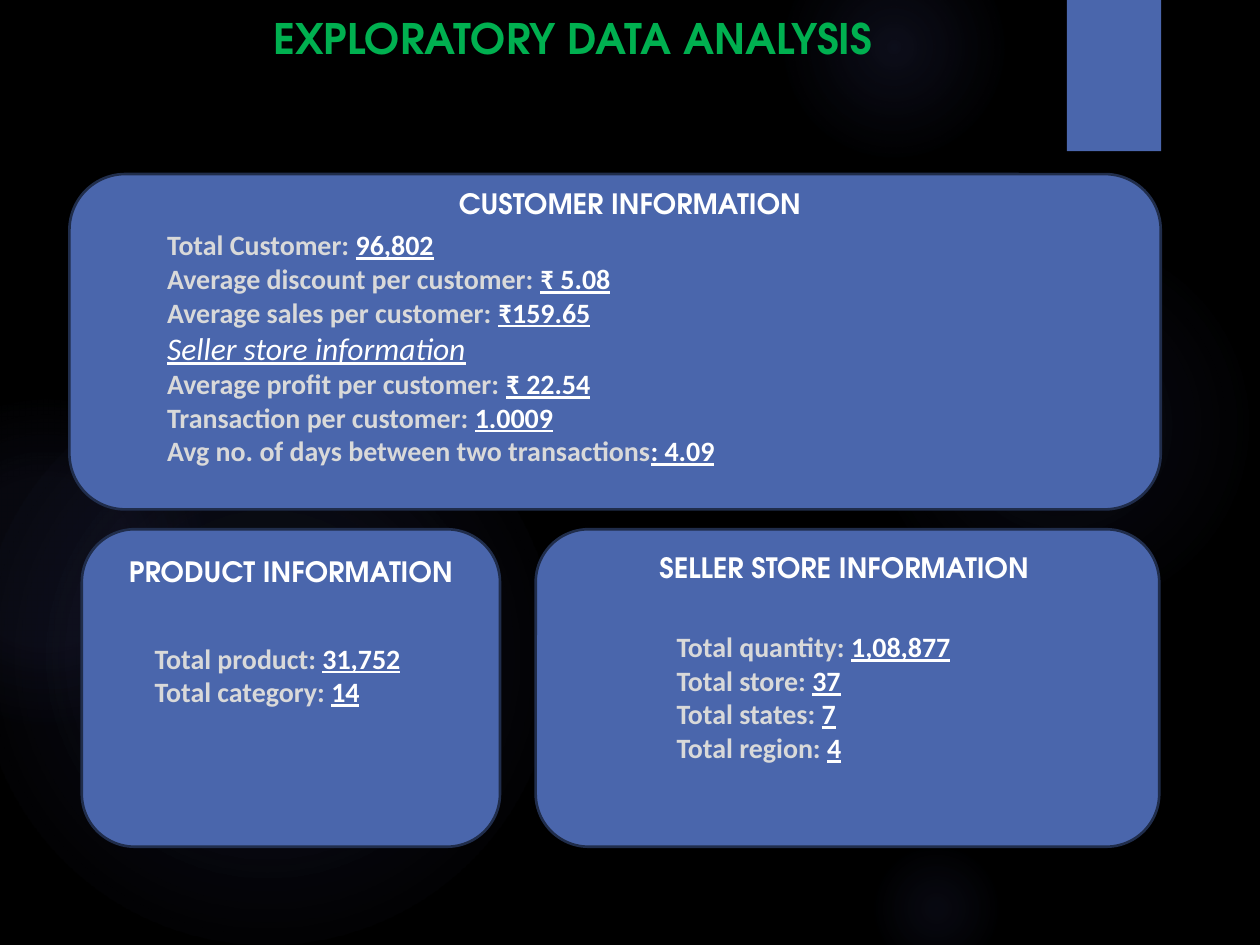
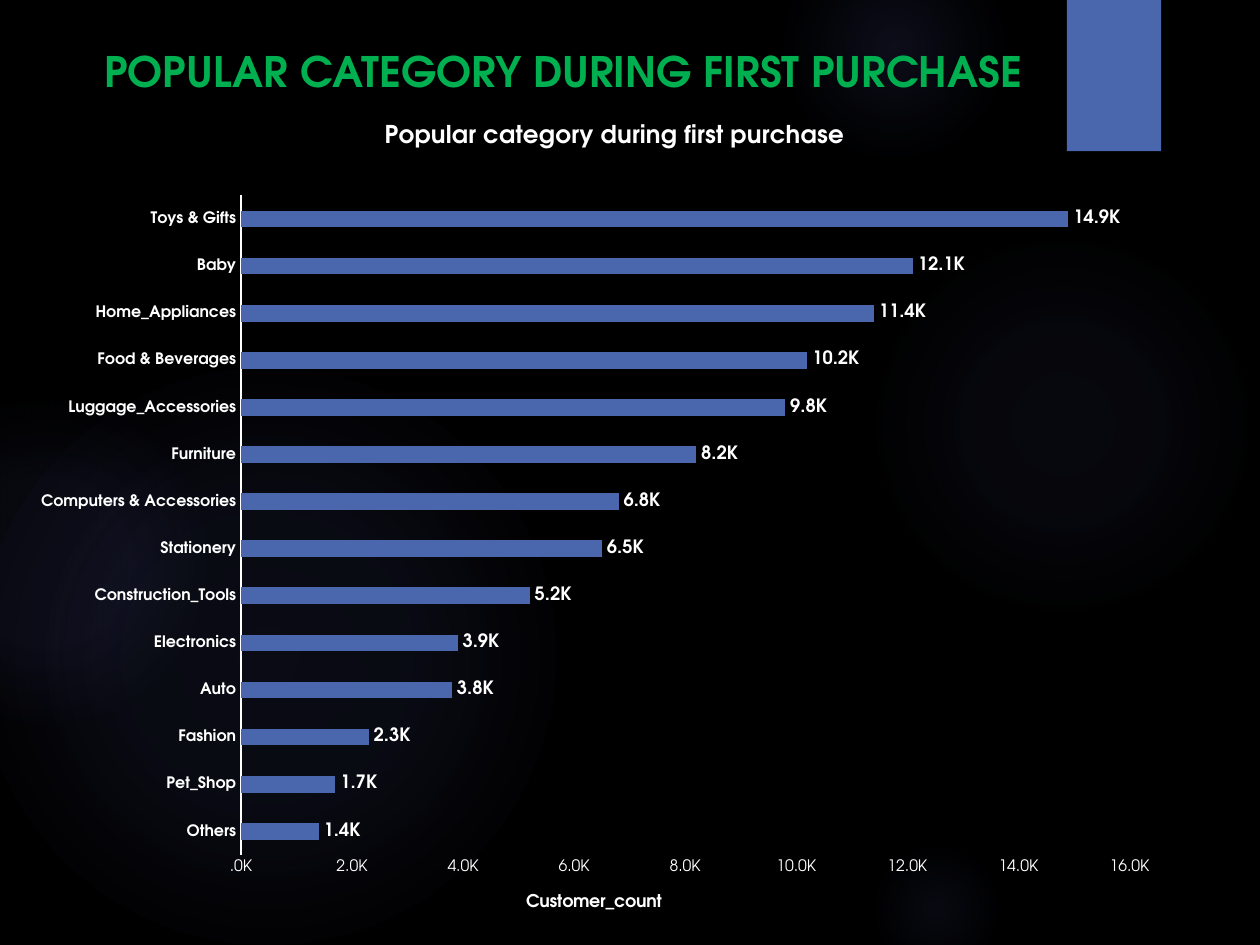
from lxml import etree
from pptx import Presentation
from pptx import util as u
from pptx.chart.data import CategoryChartData
from pptx.dml.color import RGBColor
from pptx.enum import chart as ch
from pptx.enum import shapes, text
from pptx.oxml import parse_xml
from pptx.oxml.ns import nsdecls, qn

COLORS = {
    "background": "000000",
    "glow": "5C64B7",
    "panel": "4A66AC",
    "panel_edge": "202D4B",
    "title": "00B050",
    "label": "D9D9D9",
    "value": "FFFFFF",
}
HEADING_FONT = "TeX Gyre Adventor"
BODY_FONT = "Calibri"
THOUSANDS = '#.0,"K";\\-#.0,"K"'

# left, top, diameter in cm, then (stop %, opacity %) from the centre outwards
GLOWS = [
    (17.5, 4.65, 7.82, [(0, 7), (36, 6), (69, 0)]),
    (15.8, -1.27, 4.45, [(0, 14), (36, 7), (73, 0)]),
    (17.5, 16.94, 2.74, [(0, 9), (36, 5), (66, 0)]),
    (-0.43, 7.42, 11.63, [(0, 11), (36, 10), (75, 0)]),
    (-2.34, 8.05, 6.55, [(0, 8), (36, 8), (72, 0)]),
]

# heading, panel box, heading box, facts box (cm), facts as (label, value)
PANELS = [
    ("CUSTOMER INFORMATION", (1.4, 3.51, 22, 6.76), (7.52, 3.63, 10.36, 0.94),
     (3.12, 4.47, 16.81, 5.13),
     [("Total Customer: ", "96,802"),
      ("Average discount per customer: ", "₹ 5.08"),
      ("Average sales per customer: ", "₹159.65"),
      (None, "Seller store information"),
      ("Average profit per customer: ", "₹ 22.54"),
      ("Transaction per customer: ", "1.0009"),
      ("Avg no. of days between two transactions", ": 4.09")]),
    ("PRODUCT INFORMATION", (1.65, 10.67, 8.43, 6.4), (2.18, 11.05, 7.37, 0.94),
     (2.87, 12.8, 9.3, 1.63),
     [("Total product: ", "31,752"), ("Total category: ", "14")]),
    ("SELLER STORE INFORMATION", (10.8, 10.67, 12.57, 6.4), (12.7, 10.97, 8.64, 0.94),
     (13.39, 12.57, 6.1, 3),
     [("Total quantity: ", "1,08,877"), ("Total store: ", "37"),
      ("Total states: ", "7"), ("Total region: ", "4")]),
]

FIRST_PURCHASES = {
    "Others": 1400, "Pet_Shop": 1700, "Fashion": 2300, "Auto": 3800,
    "Electronics": 3900, "Construction_Tools": 5200, "Stationery": 6500,
    "Computers & Accessories": 6800, "Furniture": 8200,
    "Luggage_Accessories": 9800, "Food & Beverages": 10200,
    "Home_Appliances": 11400, "Baby": 12100, "Toys & Gifts": 14900,
}


def rgb(name):
    return RGBColor.from_string(COLORS[name])


def cm(box):
    return [u.Cm(length) for length in box]


def style(font, size, color=None, face=HEADING_FONT, bold=True):
    font.name, font.size, font.bold = face, u.Pt(size), bold
    if color:
        font.color.rgb = rgb(color)


def add_block(slide, kind, box, fill, edge=None):
    block = slide.shapes.add_shape(kind, *cm(box))
    block.shadow.inherit = False
    block.fill.solid()
    block.fill.fore_color.rgb = rgb(fill)
    if edge:
        block.line.color.rgb = rgb(edge)
        block.line.width = u.Pt(1.5)
    else:
        block.line.fill.background()
    return block


def add_glow(slide, left, top, diameter, stops):
    """Draw a disc that fades from its centre to nothing."""
    glow = add_block(slide, shapes.MSO_SHAPE.OVAL, (left, top, diameter, diameter), "glow")
    stop_xml = "".join(
        f'<a:gs pos="{position * 1000}"><a:srgbClr val="{COLORS["glow"]}">'
        f'<a:alpha val="{opacity * 1000}"/></a:srgbClr></a:gs>'
        for position, opacity in stops)
    gradient = parse_xml(
        f'<a:gradFill {nsdecls("a")}><a:gsLst>{stop_xml}</a:gsLst><a:path path="circle">'
        '<a:fillToRect l="50000" t="50000" r="50000" b="50000"/></a:path></a:gradFill>')
    properties = glow._element.spPr
    properties.replace(properties.find(qn("a:solidFill")), gradient)


def add_band(slide):
    band = add_block(slide, shapes.MSO_SHAPE.RECTANGLE, (21.51, 0, 1.9, 3.05), "panel")
    effects = band._element.spPr.find(qn("a:effectLst"))
    effects.append(parse_xml(
        f'<a:outerShdw {nsdecls("a")} blurRad="38100" dist="25400" dir="5400000" '
        'rotWithShape="0"><a:srgbClr val="000000"><a:alpha val="45000"/>'
        '</a:srgbClr></a:outerShdw>'))


def add_slide(deck):
    """Add a blank slide with the shared dark backdrop."""
    slide = deck.slides.add_slide(deck.slide_layouts[6])
    slide.background.fill.solid()
    slide.background.fill.fore_color.rgb = rgb("background")
    for glow in GLOWS:
        add_glow(slide, *glow)
    add_band(slide)
    return slide


def add_text(slide, box, words, size, color, align, anchor=text.MSO_ANCHOR.TOP):
    frame = slide.shapes.add_textbox(*cm(box)).text_frame
    frame.word_wrap = True
    frame.vertical_anchor = anchor
    line = frame.paragraphs[0]
    line.text = words
    line.alignment = align
    style(line.font, size, color)


def add_title(slide, box, words, align, anchor):
    add_text(slide, box, words, 24, "title", align, anchor)


def add_facts(slide, box, facts):
    """List facts with underlined values; a fact without label is a subheading."""
    frame = slide.shapes.add_textbox(*cm(box)).text_frame
    frame.word_wrap = True
    for index, (label, value) in enumerate(facts):
        line = frame.add_paragraph() if index else frame.paragraphs[0]
        if label:
            style(line.font, 16, face=BODY_FONT)
            label_run = line.add_run()
            label_run.text = label
            label_run.font.color.rgb = rgb("label")
        else:
            style(line.font, 18, face=BODY_FONT, bold=False)
            line.font.italic = True
        value_run = line.add_run()
        value_run.text = value
        value_run.font.underline = True
        value_run.font.color.rgb = rgb("value")


def add_panel(slide, heading, panel_box, heading_box, facts_box, facts):
    add_block(slide, shapes.MSO_SHAPE.ROUNDED_RECTANGLE, panel_box, "panel", "panel_edge")
    add_text(slide, heading_box, heading, 16, "value", text.PP_ALIGN.CENTER)
    add_facts(slide, facts_box, facts)


def manual_layout(**settings):
    layout = etree.Element(qn("c:layout"))
    manual = etree.SubElement(layout, qn("c:manualLayout"))
    for key, setting in settings.items():
        etree.SubElement(manual, qn(f"c:{key}")).set("val", str(setting))
    return layout


def drop_layout(element):
    for layout in element.findall(qn("c:layout")):
        element.remove(layout)


def set_chart_text(title, words, size, x, y):
    """Fill a chart or axis title and place it by fractions of the chart."""
    line = title.text_frame.paragraphs[0]
    line.text = words
    style(line.font, size, "value")
    element = title._element
    drop_layout(element)
    element.find(qn("c:tx")).addnext(
        manual_layout(xMode="edge", yMode="edge", x=x, y=y))


def style_axis(axis, bold):
    axis.has_major_gridlines = False
    axis.major_tick_mark = axis.minor_tick_mark = ch.XL_TICK_MARK.NONE
    style(axis.tick_labels.font, 9, "value", bold=bold)


def add_purchase_chart(slide, box):
    data = CategoryChartData()
    data.categories = list(FIRST_PURCHASES)
    data.add_series("Series 1", list(FIRST_PURCHASES.values()))
    chart = slide.shapes.add_chart(ch.XL_CHART_TYPE.BAR_CLUSTERED, *cm(box), data).chart
    style(chart.font, 10, "value", bold=False)
    chart.has_legend = False
    chart.has_title = True
    set_chart_text(chart.chart_title, "Popular category during first purchase", 14, 0.29, 0.045)

    style_axis(chart.category_axis, bold=True)
    chart.category_axis.format.line.color.rgb = rgb("value")
    chart.category_axis.format.line.width = u.Pt(0.75)

    counts = chart.value_axis
    style_axis(counts, bold=False)
    counts.format.line.fill.background()
    counts.minimum_scale, counts.maximum_scale, counts.major_unit = 0, 16000, 2000
    counts.tick_labels.number_format = THOUSANDS
    counts.tick_labels.number_format_is_linked = False
    counts.has_title = True
    set_chart_text(counts.axis_title, "Customer_count", 10, 0.41, 0.955)

    bars = chart.plots[0]
    bars.gap_width = 182
    bars.vary_by_categories = False
    purchases = bars.series[0]
    purchases.format.fill.solid()
    purchases.format.fill.fore_color.rgb = rgb("panel")
    labels = purchases.data_labels
    labels.show_value = True
    labels.position = ch.XL_LABEL_POSITION.OUTSIDE_END
    labels.number_format = THOUSANDS
    labels.number_format_is_linked = False
    style(labels.font, 10.5, "value")

    plot_area = chart._chartSpace.find(qn("c:chart")).find(qn("c:plotArea"))
    drop_layout(plot_area)
    plot_area.insert(0, manual_layout(
        layoutTarget="inner", xMode="edge", yMode="edge",
        x=0.173, y=0.137, w=0.747, h=0.778))


def main():
    deck = Presentation()
    deck.slide_width, deck.slide_height = u.Cm(25.4), u.Cm(19.05)

    analysis = add_slide(deck)
    add_title(analysis, (0.69, 0.13, 21.72, 2.31), "EXPLORATORY DATA ANALYSIS",
              text.PP_ALIGN.CENTER, text.MSO_ANCHOR.TOP)
    for panel in PANELS:
        add_panel(analysis, *panel)

    popularity = add_slide(deck)
    add_title(popularity, (1.85, 0, 21.72, 2.06), "POPULAR CATEGORY DURING FIRST PURCHASE",
              text.PP_ALIGN.LEFT, text.MSO_ANCHOR.BOTTOM)
    add_purchase_chart(popularity, (0.71, 1.6, 23.98, 17.09))

    deck.save("out.pptx")


if __name__ == "__main__":
    main()
